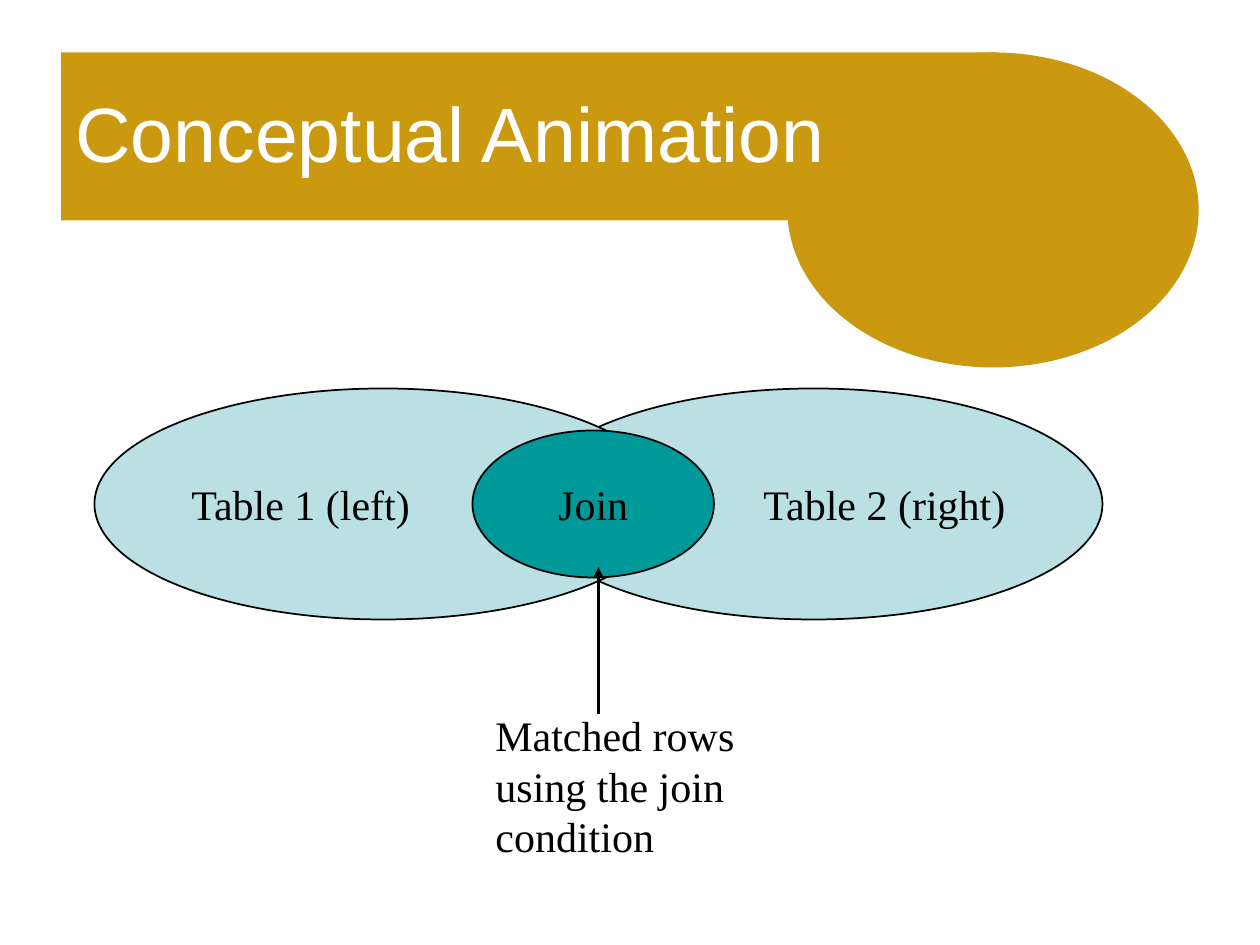
import pptx
import pptx.util
from pptx.dml.color import RGBColor
from pptx.enum.shapes import MSO_CONNECTOR, MSO_SHAPE
from pptx.enum.text import MSO_ANCHOR, PP_ALIGN
from pptx.oxml.ns import qn
from lxml import etree

Pt = pptx.util.Pt

COLORS = {
    "banner": "CA9910",
    "table": "BBE0E3",
    "join": "009999",
    "ink": "000000",
    "title": "FFFFFF",
}
BODY = {"name": "Times New Roman", "size": Pt(24)}
HEADING = {"name": "Arial", "size": Pt(44)}
FRAME = {"vertical_anchor": MSO_ANCHOR.MIDDLE, "word_wrap": False}


def color(key):
    return RGBColor.from_string(COLORS[key])


def set_values(target, values):
    for key, value in values.items():
        setattr(target, key, value)


def write(shape, text, font, ink, frame, paragraph_format):
    set_values(shape.text_frame, frame)
    paragraph = shape.text_frame.paragraphs[0]
    set_values(paragraph, paragraph_format)
    run = paragraph.add_run()
    run.text = text
    set_values(run.font, font)
    run.font.color.rgb = color(ink)


def add_filled(slide, kind, box, fill):
    shape = slide.shapes.add_shape(kind, *map(Pt, box))
    shape.shadow.inherit = False
    shape.fill.solid()
    shape.fill.fore_color.rgb = color(fill)
    shape.line.fill.background()
    return shape


def add_set(slide, box, fill, label, alignment):
    ellipse = add_filled(slide, MSO_SHAPE.OVAL, box, fill)
    ellipse.line.color.rgb = color("ink")
    ellipse.line.width = Pt(1)
    write(ellipse, label, BODY, "ink", FRAME, {"alignment": alignment})


def add_text(slide, box, text, font, ink, frame, paragraph_format):
    text_box = slide.shapes.add_textbox(*map(Pt, box))
    write(text_box, text, font, ink, frame, paragraph_format)


def add_arrow(slide, start, end):
    arrow = slide.shapes.add_connector(
        MSO_CONNECTOR.STRAIGHT, *map(Pt, start + end))
    arrow.line.color.rgb = color("ink")
    arrow.line.width = Pt(1.5)
    etree.SubElement(arrow.line._get_or_add_ln(), qn("a:tailEnd"), type="triangle")
    etree.SubElement(arrow._element.spPr, qn("a:effectLst"))


def main():
    deck = pptx.Presentation()
    deck.slide_width, deck.slide_height = Pt(720), Pt(540)
    slide = deck.slides.add_slide(deck.slide_layouts[6])

    # Title banner
    add_filled(slide, MSO_SHAPE.RECTANGLE, (35, 30, 534, 96), "banner")
    add_filled(slide, MSO_SHAPE.OVAL, (450, 30, 235, 180), "banner")

    # Two overlapping tables, the left one in front, with the title between
    table_top, table_width, table_height = 222, 330, 132
    add_set(slide, (300, table_top, table_width, table_height),
            "table", "Table 2 (right)", PP_ALIGN.RIGHT)
    add_text(slide, (36, 30, 630, 90), "Conceptual Animation", HEADING, "title",
             {**FRAME, "word_wrap": True}, {"alignment": PP_ALIGN.LEFT})
    add_set(slide, (54, table_top, table_width, table_height),
            "table", "Table 1 (left)", PP_ALIGN.LEFT)

    # Join and its explanation
    add_set(slide, (270, 246, 138, 84), "join", "Join", PP_ALIGN.CENTER)
    add_text(slide, (276, 402, 156, 94), "Matched rows using the join condition",
             BODY, "ink", {"word_wrap": True},
             {"space_before": Pt(15), "line_spacing": Pt(28.8)})
    add_arrow(slide, (342, 408), (342, 324))

    deck.save("out.pptx")


if __name__ == "__main__":
    main()
